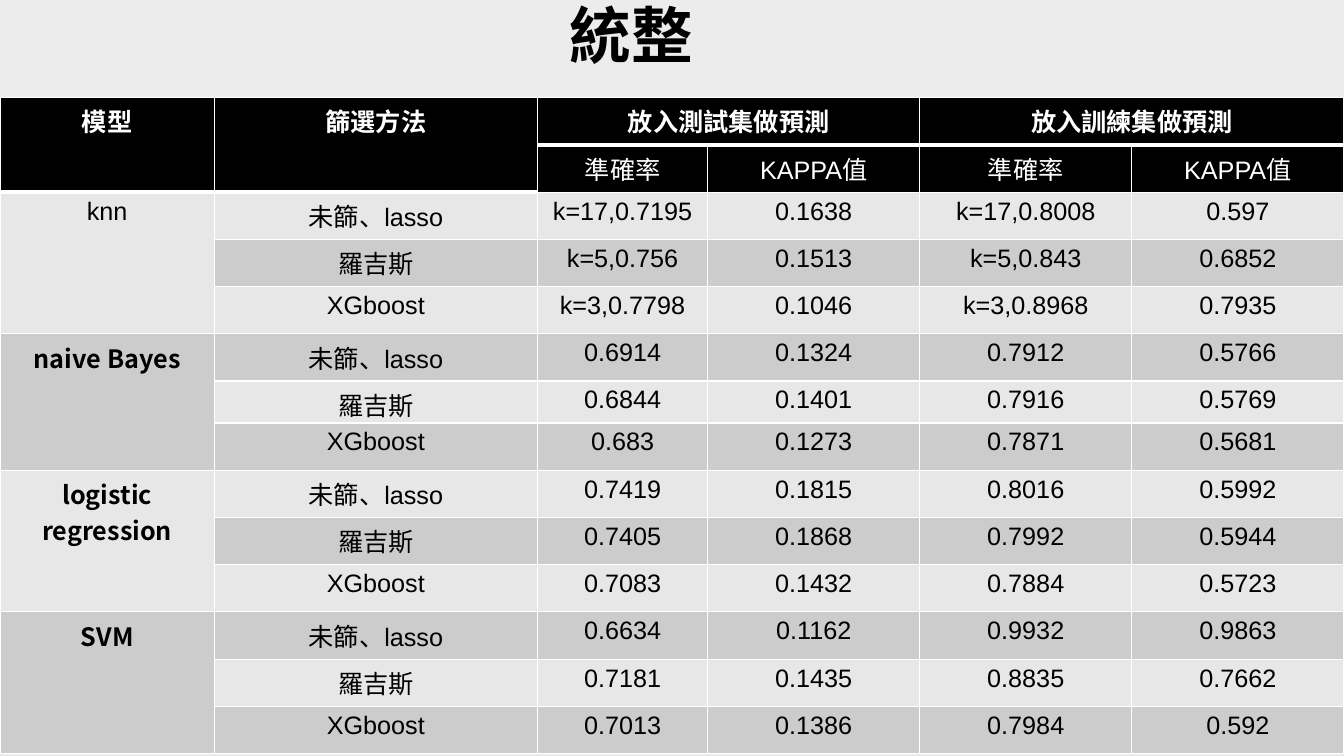
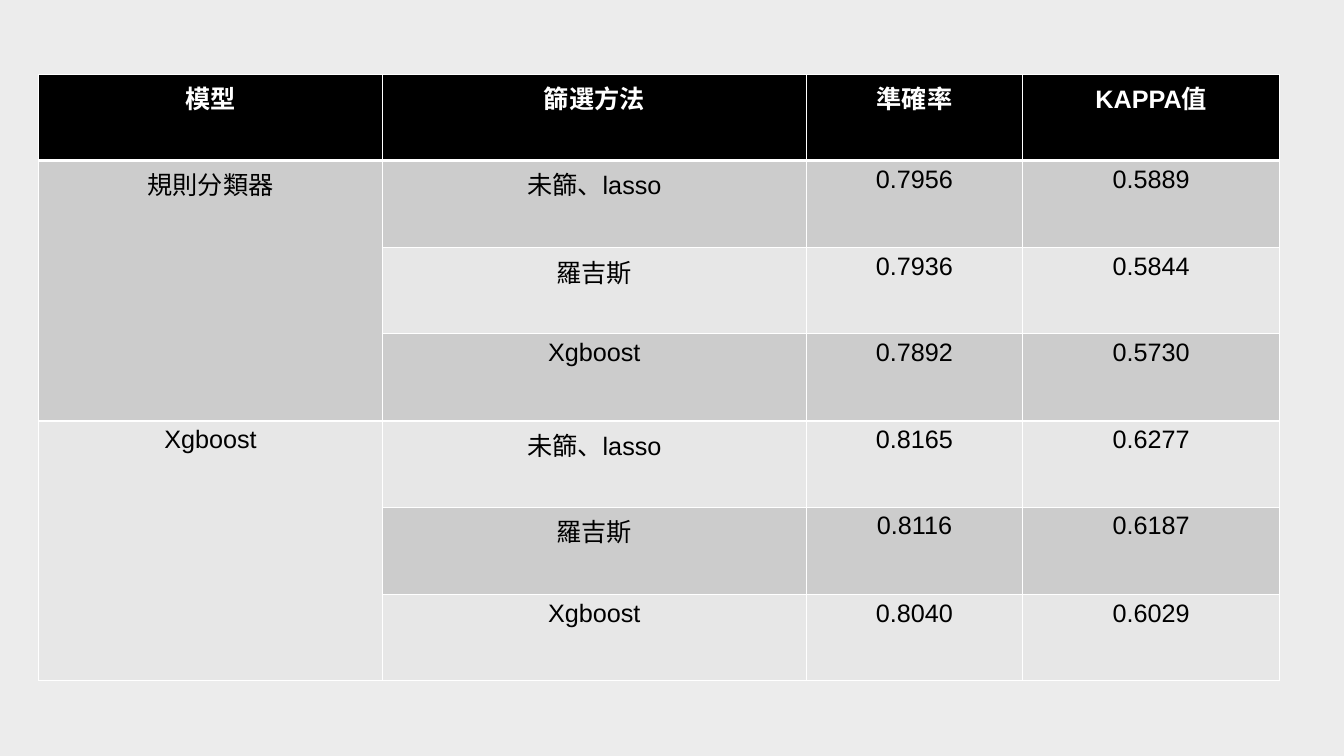
from dataclasses import dataclass

from lxml import etree
from pptx import Presentation
from pptx.dml.color import RGBColor
from pptx.enum.text import MSO_ANCHOR, PP_ALIGN
from pptx.oxml.ns import qn
from pptx.slide import Slide
from pptx.table import _Cell
from pptx.text.text import _Paragraph
from pptx.util import Emu, Pt

EMU_PER_PX = 9525
CENTER = PP_ALIGN.CENTER
LEFT = PP_ALIGN.LEFT
TOP = MSO_ANCHOR.TOP

COLORS = {
    "background": "ECECEC",
    "header": "000000",
    "dark_band": "CCCCCC",
    "light_band": "E7E7E7",
    "rule": "FFFFFF",
    "header_text": "FFFFFF",
    "text": "000000",
}
LATIN_FONT = "Arial"
MODEL_FONT = "Noto Sans CJK SC"
CHINESE_FONT = "Noto Sans CJK TC"
METHODS = ("未篩、lasso", "羅吉斯")


@dataclass(frozen=True)
class Model:
    name: str
    scores: tuple[tuple[str, ...], ...]
    emphasized: bool = False


@dataclass(frozen=True)
class Header:
    text: str
    row: int
    column: int
    row_span: int = 1
    column_span: int = 1
    bold: bool = True


@dataclass(frozen=True)
class Comparison:
    left: int
    top: int
    columns: tuple[int, ...]
    rows: tuple[int, ...]
    header_rows: int
    headers: tuple[Header, ...]
    methods: tuple[str, ...]
    models: tuple[Model, ...]


SUMMARY = Comparison(
    left=0,
    top=93,
    columns=(204, 308, 162, 202, 202, 202),
    rows=(45,) * 6 + (40,) + (45,) * 7,
    header_rows=2,
    headers=(
        Header("模型", 0, 0, row_span=2),
        Header("篩選方法", 0, 1, row_span=2),
        Header("放入測試集做預測", 0, 2, column_span=2),
        Header("放入訓練集做預測", 0, 4, column_span=2),
        *(
            Header(measure, 1, first + offset, bold=False)
            for first in (2, 4)
            for offset, measure in enumerate(("準確率", "KAPPA值"))
        ),
    ),
    methods=(*METHODS, "XGboost"),
    models=(
        Model("knn", (
            ("k=17,0.7195", "0.1638", "k=17,0.8008", "0.597"),
            ("k=5,0.756", "0.1513", "k=5,0.843", "0.6852"),
            ("k=3,0.7798", "0.1046", "k=3,0.8968", "0.7935"),
        )),
        Model("naive Bayes", (
            ("0.6914", "0.1324", "0.7912", "0.5766"),
            ("0.6844", "0.1401", "0.7916", "0.5769"),
            ("0.683", "0.1273", "0.7871", "0.5681"),
        ), emphasized=True),
        Model("logistic regression", (
            ("0.7419", "0.1815", "0.8016", "0.5992"),
            ("0.7405", "0.1868", "0.7992", "0.5944"),
            ("0.7083", "0.1432", "0.7884", "0.5723"),
        ), emphasized=True),
        Model("SVM", (
            ("0.6634", "0.1162", "0.9932", "0.9863"),
            ("0.7181", "0.1435", "0.8835", "0.7662"),
            ("0.7013", "0.1386", "0.7984", "0.592"),
        ), emphasized=True),
    ),
)

CLASSIFIERS = Comparison(
    left=37,
    top=71,
    columns=(327, 404, 206, 245),
    rows=tuple(82 + row % 2 for row in range(7)),
    header_rows=1,
    headers=tuple(
        Header(text, 0, column)
        for column, text in enumerate(("模型", "篩選方法", "準確率", "KAPPA值"))
    ),
    methods=(*METHODS, "Xgboost"),
    models=(
        Model("規則分類器", (
            ("0.7956", "0.5889"),
            ("0.7936", "0.5844"),
            ("0.7892", "0.5730"),
        )),
        Model("Xgboost", (
            ("0.8165", "0.6277"),
            ("0.8116", "0.6187"),
            ("0.8040", "0.6029"),
        )),
    ),
)


def px(length: int) -> Emu:
    return Emu(length * EMU_PER_PX)


def rgb(name: str) -> RGBColor:
    return RGBColor.from_string(COLORS[name])


def style_paragraph(paragraph: _Paragraph, size: int, color: str, bold: bool,
                    latin: str, alignment: PP_ALIGN) -> None:
    paragraph.alignment = alignment
    font = paragraph.font
    font.size = Pt(size)
    font.bold = bold
    font.color.rgb = rgb(color)
    font.name = latin
    defaults = paragraph._p.pPr.find(qn("a:defRPr"))
    etree.SubElement(defaults, qn("a:ea"), typeface=CHINESE_FONT)


def format_cell(cell: _Cell, band: str, bottom_rule: int) -> None:
    cell.margin_bottom = 0
    cell.vertical_anchor = TOP
    properties = cell._tc.get_or_add_tcPr()
    for side, width in (("L", 1), ("R", 1), ("T", 1), ("B", bottom_rule)):
        border = etree.SubElement(properties, qn(f"a:ln{side}"), w=str(Pt(width)))
        paint = etree.SubElement(border, qn("a:solidFill"))
        etree.SubElement(paint, qn("a:srgbClr"), val=COLORS["rule"])
    cell.fill.solid()
    cell.fill.fore_color.rgb = rgb(band)


def write_cell(cell: _Cell, text: str, color: str = "text", bold: bool = False,
               latin: str = LATIN_FONT) -> None:
    cell.text = text
    style_paragraph(cell.text_frame.paragraphs[0], 18, color, bold, latin, CENTER)


def draw_comparison(slide: Slide, comparison: Comparison) -> None:
    table = slide.shapes.add_table(
        len(comparison.rows), len(comparison.columns),
        px(comparison.left), px(comparison.top),
        px(sum(comparison.columns)), px(sum(comparison.rows)),
    ).table
    table.first_row = False
    table.horz_banding = False
    for column, width in zip(table.columns, comparison.columns):
        column.width = px(width)
    for index, height in enumerate(comparison.rows):
        table.rows[index].height = px(height)
        is_header = index < comparison.header_rows
        band = "header" if is_header else ("light_band", "dark_band")[index % 2]
        for column in range(len(comparison.columns)):
            heavy = is_header and (index == 0 or column < 2)
            format_cell(table.cell(index, column), band, 3 if heavy else 1)

    for header in comparison.headers:
        cell = table.cell(header.row, header.column)
        if header.row_span * header.column_span > 1:
            cell.merge(table.cell(header.row + header.row_span - 1,
                                  header.column + header.column_span - 1))
        write_cell(cell, header.text, "header_text", header.bold)

    group_size = len(comparison.methods)
    for group, model in enumerate(comparison.models):
        first_row = comparison.header_rows + group * group_size
        model_cell = table.cell(first_row, 0)
        model_cell.merge(table.cell(first_row + group_size - 1, 0))
        write_cell(model_cell, model.name, bold=model.emphasized,
                   latin=MODEL_FONT if model.emphasized else LATIN_FONT)
        for offset, (method, scores) in enumerate(zip(comparison.methods, model.scores)):
            for column, text in enumerate((method, *scores), start=1):
                write_cell(table.cell(first_row + offset, column), text)


def draw_title(slide: Slide, text: str) -> None:
    title = slide.shapes.title
    title.left, title.top, title.width, title.height = px(533), px(0), px(175), px(81)
    frame = title.text_frame
    frame.text = text
    frame.vertical_anchor = TOP
    frame.word_wrap = True
    heading = frame.paragraphs[0]
    heading.line_spacing = 0.9
    style_paragraph(heading, 44, "text", True, CHINESE_FONT, LEFT)


def main() -> None:
    presentation = Presentation()
    presentation.slide_width = px(1280)
    presentation.slide_height = px(720)
    background = presentation.slide_master.background.fill
    background.solid()
    background.fore_color.rgb = rgb("background")
    title_only, blank = presentation.slide_layouts[5], presentation.slide_layouts[6]

    summary_slide = presentation.slides.add_slide(title_only)
    draw_title(summary_slide, "統整")
    draw_comparison(summary_slide, SUMMARY)

    classifier_slide = presentation.slides.add_slide(blank)
    draw_comparison(classifier_slide, CLASSIFIERS)

    presentation.save("out.pptx")


if __name__ == "__main__":
    main()
